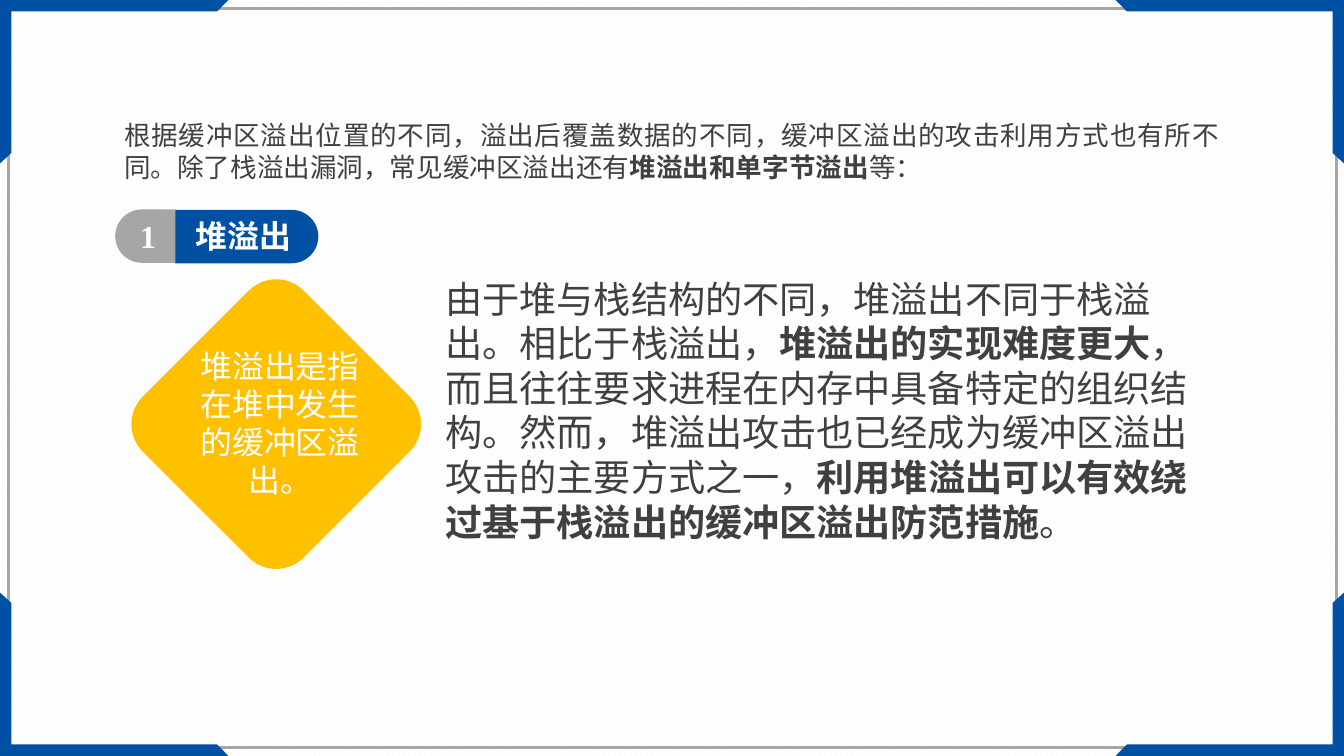
"""Build the slide on heap overflow."""
from dataclasses import dataclass
from itertools import product

from lxml import etree
from pptx import Presentation
from pptx.dml.color import RGBColor
from pptx.enum.dml import MSO_PATTERN
from pptx.enum.shapes import MSO_SHAPE
from pptx.enum.text import MSO_ANCHOR, MSO_AUTO_SIZE, PP_ALIGN
from pptx.oxml.ns import qn
from pptx.shapes.autoshape import Shape
from pptx.slide import Slide
from pptx.util import Inches, Pt

WIDE, HIGH = Inches(14.06), Inches(7.91)
BLUE = RGBColor(0x00, 0x50, 0xA3)
GREY = RGBColor(0xA6, 0xA6, 0xA6)
GOLD = RGBColor(0xFF, 0xC0, 0x00)
DARK = RGBColor(0x40, 0x40, 0x40)
WHITE = RGBColor(0xFF, 0xFF, 0xFF)
PALE = RGBColor(0xF2, 0xF2, 0xF2)
SANS, SERIF = "Noto Sans CJK SC", "Times New Roman"
RECT, ROUND = MSO_SHAPE.RECTANGLE, MSO_SHAPE.ROUNDED_RECTANGLE
TAB = MSO_SHAPE.ROUND_2_SAME_RECTANGLE
STRIPES = MSO_PATTERN.WIDE_UPWARD_DIAGONAL
TOP, MIDDLE = MSO_ANCHOR.TOP, MSO_ANCHOR.MIDDLE
LEFT, CENTER, JUSTIFY = PP_ALIGN.LEFT, PP_ALIGN.CENTER, PP_ALIGN.JUSTIFY
FIXED = MSO_AUTO_SIZE.NONE
LEADING = 1.2
CORNER = ((0, 0), (17, 0), (16.15, 1.52), (0.85, 1.52), (0.85, 20.23), (0, 21.62))


@dataclass(frozen=True)
class Box:
    """A place in percent of the slide's width and height."""

    left: float
    top: float
    wide: float
    high: float

    def spans(self) -> tuple[int, int, int, int]:
        """Return the place in slide units."""
        return (across(self.left), down(self.top), across(self.wide), down(self.high))


@dataclass(frozen=True)
class Block:
    """A filled preset shape."""

    kind: MSO_SHAPE
    box: Box
    fill: RGBColor
    turn: float
    bends: tuple[float, ...]


@dataclass(frozen=True)
class Text:
    """Paragraphs of parts, in which every second part is bold."""

    box: Box
    lines: tuple[tuple[str, ...], ...]
    size: int
    color: RGBColor
    face: str = SANS
    align: PP_ALIGN = LEFT
    anchor: MSO_ANCHOR = TOP
    pad: tuple[float, float] = (0.1, 0.05)


FRAME = Box(0.64, 1.14, 98.79, 97.72)
BLOCKS = (
    Block(TAB, Box(16.36, 21.81, 3.98, 18.96), BLUE, 90, (0.5, 0)),
    Block(TAB, Box(8.82, 27.25, 3.98, 7.96), GREY, 270, (0.5, 0)),
    Block(ROUND, Box(12.09, 41.06, 16.93, 30.09), GOLD, 45, (0.17,)),
)
TITLE = Text(Box(13.51, 27.67, 10.17, 7.08), (("", "堆溢出"),), 24, WHITE,
             SERIF, pad=(0.15, 0.08))
BODY = Text(Box(32.43, 35.88, 56.76, 37.93), ((
    "由于堆与栈结构的不同，堆溢出不同于栈溢出。相比于栈溢出，",
    "堆溢出的实现难度更大",
    "，而且往往要求进程在内存中具备特定的组织结构。然而，堆溢出攻击也已经成为缓冲区溢出攻击的主要方式之一，",
    "利用堆溢出可以有效绕过基于栈溢出的缓冲区溢出防范措施",
    "。"),), 28, DARK)
NOTES = (
    Text(Box(8.53, 15.17, 82.86, 9.73), ((
        "根据缓冲区溢出位置的不同，溢出后覆盖数据的不同，缓冲区溢出的攻击利用方式也有所不同。除了栈溢出漏洞，常见缓冲区溢出还有",
        "堆溢出和单字节溢出",
        "等："),), 20, DARK, align=JUSTIFY),
    Text(Box(8.89, 27.67, 4.27, 7.08), (("", "1"),), 24, WHITE, SERIF, CENTER,
         pad=(0.15, 0.08)),
    Text(Box(13.51, 45.13, 14.65, 21.62), (("堆溢出是指",), ("在堆中发生的缓冲区溢出。",)),
         24, WHITE, align=CENTER, anchor=MIDDLE),
)


def across(share: float) -> int:
    """Turn a percentage of the width into a length."""
    return round(WIDE * share / 100)


def down(share: float) -> int:
    """Turn a percentage of the height into a length."""
    return round(HIGH * share / 100)


def paint(shape: Shape, color: RGBColor) -> None:
    """Give a shape a plain fill without line or shadow."""
    shape.shadow.inherit = False
    shape.fill.solid()
    shape.fill.fore_color.rgb = color
    shape.line.fill.background()


def draw_frame(slide: Slide) -> None:
    """Draw the thin frame and its four mirrored corners."""
    frame = slide.shapes.add_shape(RECT, *FRAME.spans())
    frame.shadow.inherit = False
    frame.fill.background()
    frame.line.color.rgb = GREY
    frame.line.width = Pt(2)
    for right, low in product((False, True), repeat=2):
        points = [(across(100 - x if right else x), down(100 - y if low else y))
                  for x, y in CORNER]
        pen = slide.shapes.build_freeform(*points[0])
        pen.add_line_segments(points[1:], close=True)
        paint(pen.convert_to_shape(), BLUE)


def draw_block(slide: Slide, block: Block) -> None:
    """Draw one filled shape."""
    shape = slide.shapes.add_shape(block.kind, *block.box.spans())
    shape.rotation = block.turn
    for index, bend in enumerate(block.bends):
        shape.adjustments[index] = bend
    paint(shape, block.fill)


def write(shape: Shape, text: Text) -> None:
    """Place a text shape and fill it with formatted paragraphs."""
    shape.left, shape.top, shape.width, shape.height = text.box.spans()
    frame = shape.text_frame
    frame.word_wrap = True
    frame.auto_size = FIXED
    frame.vertical_anchor = text.anchor
    side, edge = text.pad
    frame.margin_left = frame.margin_right = Inches(side)
    frame.margin_top = frame.margin_bottom = Inches(edge)
    for index, parts in enumerate(text.lines):
        para = frame.add_paragraph() if index else frame.paragraphs[0]
        props = para._p.get_or_add_pPr()
        for key in ("marL", "indent", "hangingPunct"):
            props.set(key, "0")
        etree.SubElement(props, qn("a:buNone"))
        para.alignment = text.align
        para.space_before = Pt(0)
        para.line_spacing = Pt(text.size * LEADING)
        for place, part in enumerate(parts):
            if part:
                run = para.add_run()
                run.text = part
                run.font.bold = place % 2 == 1
        for font in (para.font, *(run.font for run in para.runs)):
            font.name = text.face
            font.size = Pt(text.size)
            font.color.rgb = text.color
        for mark in para._p.iter(qn("a:rPr")):
            etree.SubElement(mark, qn("a:ea")).set("typeface", SANS)


def main() -> None:
    """Build and save the deck."""
    deck = Presentation()
    deck.slide_width, deck.slide_height = WIDE, HIGH
    slide = deck.slides.add_slide(deck.slide_layouts[1])
    back = slide.background.fill
    back.patterned()
    back.pattern = STRIPES
    back.fore_color.rgb = PALE
    back.back_color.rgb = WHITE
    draw_frame(slide)
    for block in BLOCKS:
        draw_block(slide, block)
    title, body = slide.placeholders
    for holder, text in ((title, TITLE), (body, BODY)):
        holder.element.getparent().append(holder.element)
        write(holder, text)
    for note in NOTES:
        write(slide.shapes.add_textbox(*note.box.spans()), note)
    deck.save("out.pptx")


if __name__ == "__main__":
    main()
